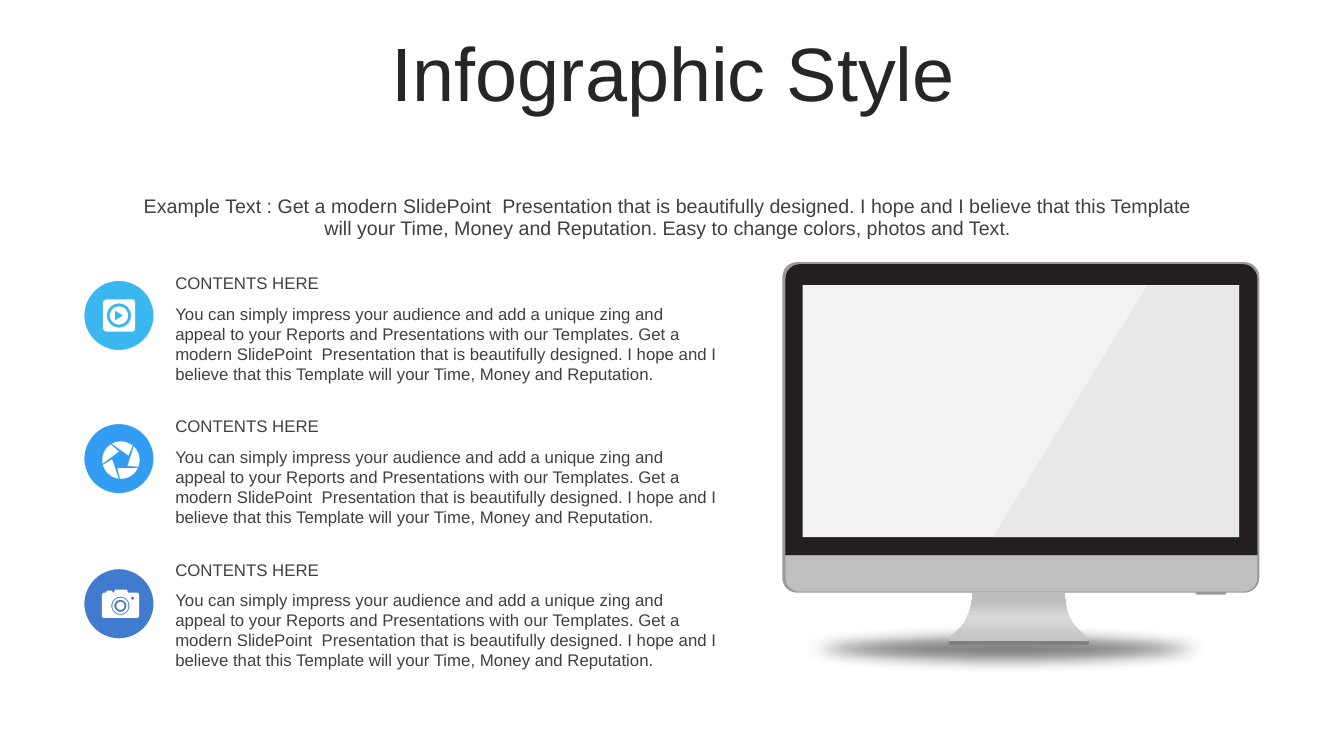
"""Build the Infographic Style slide: three icon topics beside a desktop monitor."""
from math import cos, radians, sin

from lxml import etree
from pptx import Presentation
from pptx import util as u
from pptx.dml.color import RGBColor
from pptx.enum import shapes, text
from pptx.oxml import parse_xml
from pptx.oxml.ns import nsdecls, qn

deck = Presentation()
deck.slide_width, deck.slide_height = u.Inches(13.33), u.Inches(7.5)
slide = deck.slides.add_slide(deck.slide_layouts[5])
Kind = shapes.MSO_SHAPE


def paint(shape, fill, alpha=100, line=None):
    """Give a shape a flat fill and an optional one-point line."""
    shape.shadow.inherit = False
    shape.fill.solid()
    shape.fill.fore_color.rgb = RGBColor.from_string(fill)
    if alpha < 100:
        tone = shape.fill._xPr.find(qn("a:solidFill"))[0]
        etree.SubElement(tone, qn("a:alpha")).set("val", str(alpha * 1000))
    if line:
        shape.line.color.rgb = RGBColor.from_string(line)
        shape.line.width = u.Pt(1)
    else:
        shape.line.fill.background()
    return shape


def outline(contours, fill, alpha=100):
    """Draw closed contours of points and six-number cubic curves."""
    pen = None
    for (x, y), *steps in contours:
        start = u.Inches(x), u.Inches(y)
        if pen is None:
            pen = slide.shapes.build_freeform(*start, scale=1.0)
        else:
            pen.move_to(*start)
        points = []
        for step in steps:
            if len(step) == 6:
                ax, ay, bx, by, cx, cy = step
                for t in (i / 10 for i in range(1, 11)):
                    s = 1 - t
                    weights = s**3, 3 * s * s * t, 3 * s * t * t, t**3
                    points.append(tuple(sum(w * v for w, v in zip(weights, axis))
                                        for axis in ((x, ax, bx, cx), (y, ay, by, cy))))
            else:
                points.append(step)
            x, y = step[-2:]
        pen.add_line_segments([(u.Inches(px), u.Inches(py)) for px, py in points], close=True)
    return paint(pen.convert_to_shape(), fill, alpha)


floor_shadow = paint(slide.shapes.add_shape(
    Kind.OVAL, *map(u.Inches, (7.55, 6.19, 4.85, 0.49))), "808080")
soft_edge = etree.SubElement(floor_shadow._element.spPr.find(qn("a:effectLst")), qn("a:softEdge"))
soft_edge.set("rad", "127000")

foot = outline([[(10.56, 5.88), (10.56, 5.88, 10.56, 6.1, 10.66, 6.21),
                 (10.76, 6.31, 10.91, 6.4, 10.65, 6.4), (9.56, 6.4),
                 (9.29, 6.4, 9.45, 6.31, 9.54, 6.21),
                 (9.64, 6.1, 9.65, 5.88, 9.65, 5.88)]], "BFBFBF")
stops = "".join(f'<a:gs pos="{pos}000"><a:srgbClr val="{tone}"/></a:gs>' for pos, tone in
                ((0, "BFBFBF"), (53, "D9D9D9"), (83, "BFBFBF"), (100, "BFBFBF")))
foot_pr = foot._element.spPr
foot_pr.replace(foot_pr.find(qn("a:solidFill")), parse_xml(
    f'<a:gradFill {nsdecls("a")}><a:gsLst>{stops}</a:gsLst>'
    '<a:lin ang="16200000" scaled="0"/></a:gradFill>'))

monitor_parts = [
    (Kind.ROUNDED_RECTANGLE, (7.76, 2.6, 4.73, 3.28), "999999", (0.045,)),
    (Kind.ROUND_2_SAME_RECTANGLE, (11.86, 5.87, 0.3, 0.03), "999999", (0, 0.5)),
    (Kind.ROUND_2_SAME_RECTANGLE, (7.79, 2.62, 4.68, 2.89), "231F20", (0.05, 0)),
    (Kind.ROUND_2_SAME_RECTANGLE, (9.41, 6.36, 1.39, 0.04), "808080", (0, 0.5)),
    (Kind.ROUND_2_SAME_RECTANGLE, (7.79, 5.51, 4.68, 0.36), "BFBFBF", (0, 0.38)),
    (Kind.RECTANGLE, (7.96, 2.83, 4.33, 2.5), "F2F2F2", ()),
]
for kind, box, tone, bends in monitor_parts:
    part = paint(slide.shapes.add_shape(kind, *map(u.Inches, box)), tone)
    for index, bend in enumerate(bends):
        part.adjustments[index] = bend
outline([[(11.38, 2.83), (12.3, 2.83), (12.3, 5.34), (9.84, 5.34)]], "999999", 10)

title = slide.shapes.title
title.left, title.top, title.width, title.height = map(u.Inches, (0.35, 0.37, 12.66, 0.79))
pitch = "Get a modern SlidePoint  Presentation that is beautifully designed. " \
        "I hope and I believe that this Template will your Time, Money and Reputation."
blurb = "You can simply impress your audience and add a unique zing and appeal " \
        f"to your Reports and Presentations with our Templates. {pitch}"
intro = f"Example Text : {pitch} Easy to change colors, photos and Text."

centred = {"alignment": text.PP_ALIGN.CENTER, "line_spacing": 0.9}
plain = {"alignment": text.PP_ALIGN.LEFT}
middle, top = text.MSO_ANCHOR.MIDDLE, text.MSO_ANCHOR.TOP
wordings = [
    (title, "Infographic Style", 54, "262626", middle, centred),
    (slide.shapes.add_textbox(*map(u.Inches, (1.3, 1.81, 10.65, 0.71))),
     intro, 14, "404040", middle, centred),
]
for row, (badge_top, tone) in enumerate(((2.78, "0AA6ED"), (4.2, "0085F2"), (5.64, "125AC4"))):
    paint(slide.shapes.add_shape(Kind.OVAL, *map(u.Inches, (0.83, badge_top, 0.7, 0.7))),
          tone, 80, "FFFFFF")
    heading_top = 2.66 + 1.42 * row
    for offset, height, wording in ((0.3, 0.91, blurb), (0, 0.3, "CONTENTS HERE")):
        box = slide.shapes.add_textbox(
            *map(u.Inches, (1.64, heading_top + offset, 5.59, height)))
        wordings.append((box, wording, 12, "404040", top, plain))

for box, wording, size, tone, anchor, layout in wordings:
    frame = box.text_frame
    frame.text = wording
    frame.word_wrap = True
    frame.auto_size = text.MSO_AUTO_SIZE.NONE
    frame.vertical_anchor = anchor
    paragraph = frame.paragraphs[0]
    for name, value in layout.items():
        setattr(paragraph, name, value)
    for name, value in {"name": "Arial", "size": u.Pt(size)}.items():
        setattr(paragraph.font, name, value)
    paragraph.font.color.rgb = RGBColor.from_string(tone)

turn = [(cos(radians(a)), sin(radians(a))) for a in range(0, 360, 10)]
player_rings = [[(1.18 + r * x, 3.13 + r * y) for x, y in turn] for r in (0.12, 0.09)]
outline([[(1.06, 2.97), (1.31, 2.97), (1.33, 2.97, 1.34, 2.99, 1.34, 3.01),
          (1.34, 3.25), (1.34, 3.27, 1.33, 3.29, 1.31, 3.29),
          (1.06, 3.29), (1.04, 3.29, 1.02, 3.27, 1.02, 3.25),
          (1.02, 3.01), (1.02, 2.99, 1.04, 2.97, 1.06, 2.97)],
         *player_rings, [(1.14, 3.08), (1.22, 3.13), (1.14, 3.18)]], "FFFFFF")

blades = []
for blade in range(5):
    polar = [(0.185, 169 + t) for t in range(0, 69, 4)] + [(0.087, 257)]
    blades.append([(1.2 + r * cos(radians(a + 72 * blade)),
                    4.565 + r * sin(radians(a + 72 * blade))) for r, a in polar])
outline(blades, "FFFFFF")

lens_rings = [[(1.195 + r * x, 6.01 + r * y) for x, y in turn]
              for r in (0.09, 0.08, 0.06, 0.04)]
flash = [(1.315 + 0.015 * x, 5.935 + 0.015 * y) for x, y in turn]
outline([[(1.14, 5.85), (1.26, 5.85), (1.27, 5.88), (1.36, 5.88),
          (1.37, 5.88, 1.38, 5.89, 1.38, 5.91), (1.38, 6.11),
          (1.38, 6.12, 1.37, 6.13, 1.36, 6.13), (1.04, 6.13),
          (1.02, 6.13, 1.01, 6.12, 1.01, 6.11), (1.01, 5.91),
          (1.01, 5.89, 1.02, 5.88, 1.04, 5.88), (1.05, 5.88), (1.06, 5.86),
          (1.11, 5.86), (1.12, 5.88), (1.13, 5.88)], *lens_rings, flash], "FFFFFF")

deck.save("out.pptx")
